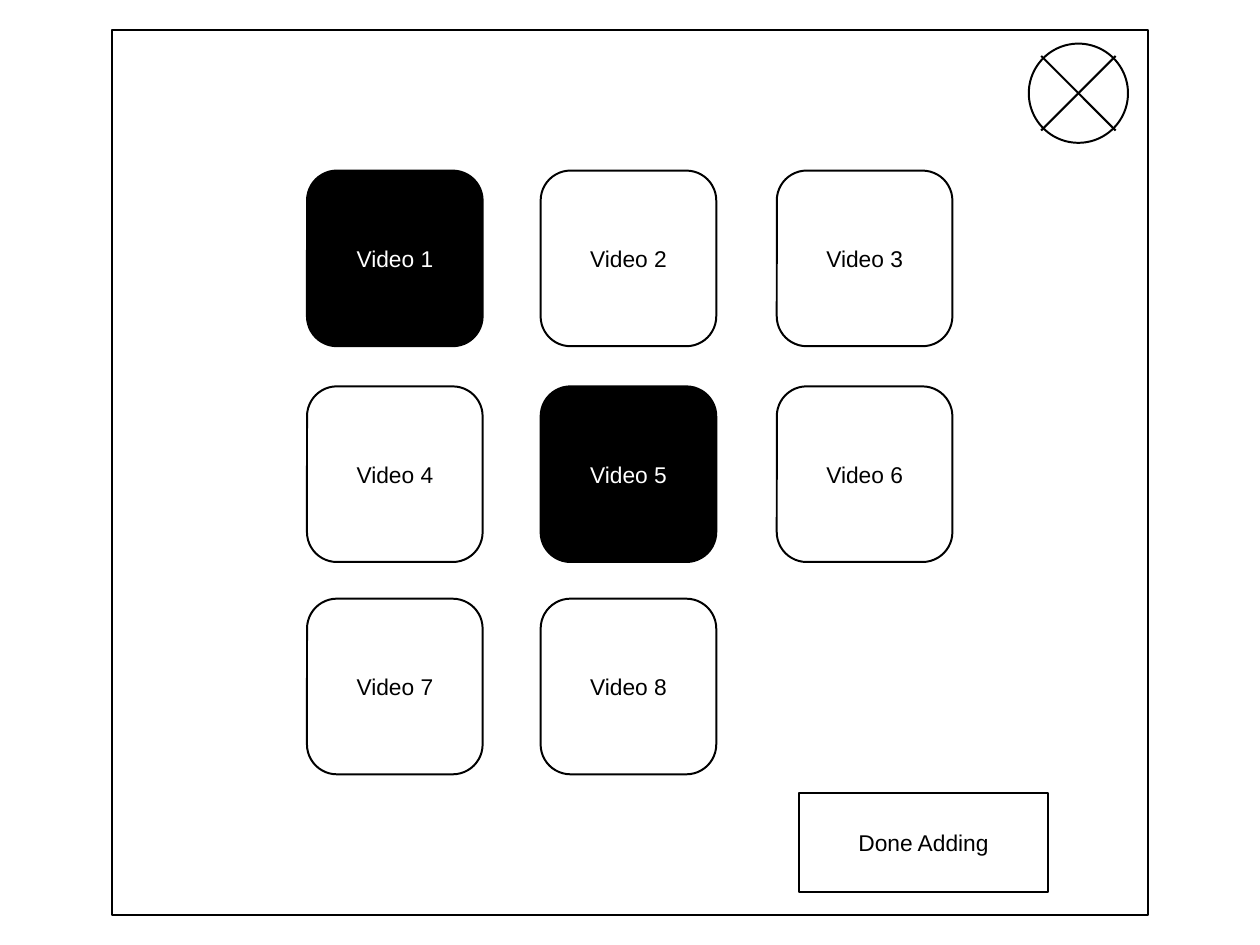
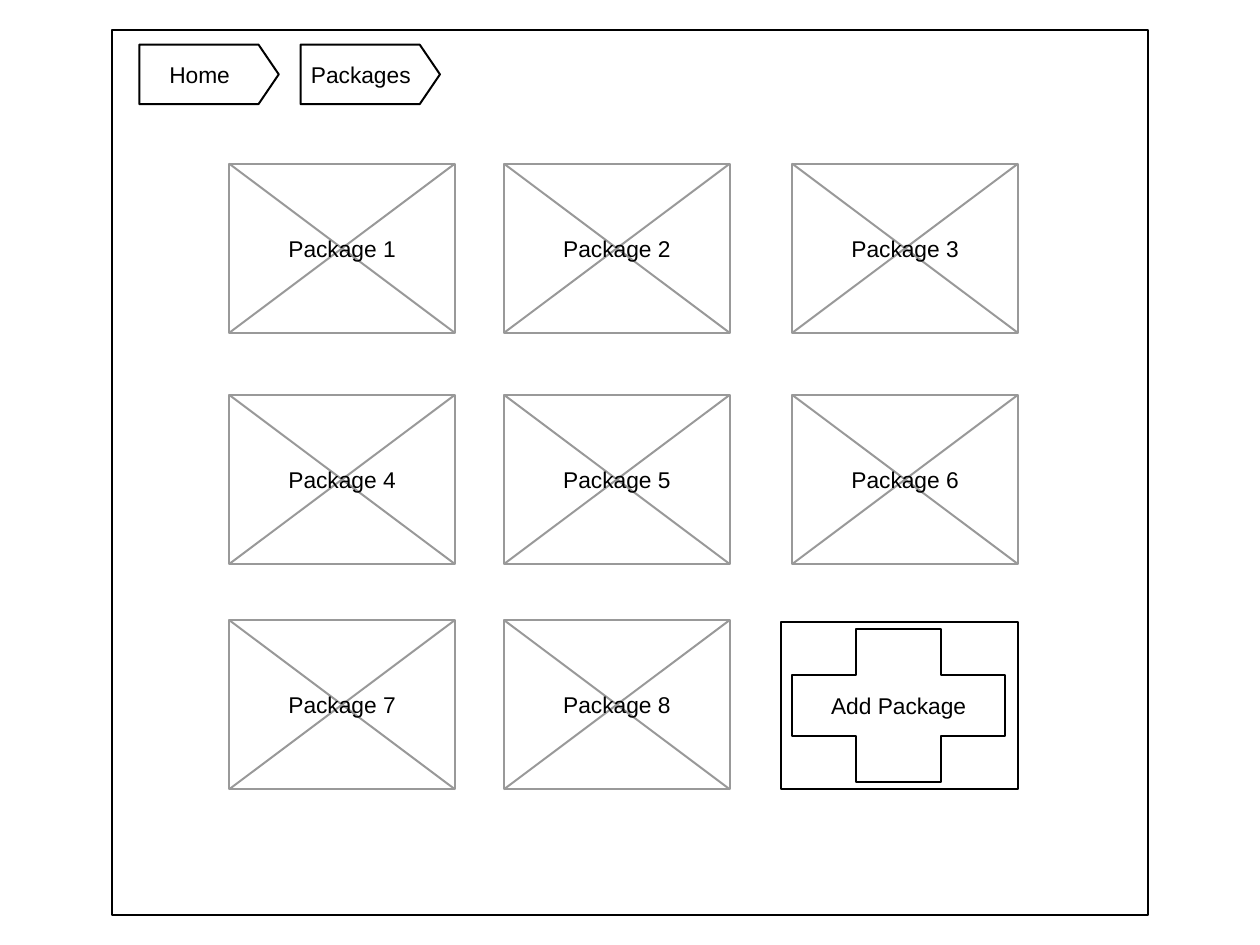
from dataclasses import dataclass
from itertools import product

from lxml.etree import SubElement
from pptx import Presentation
from pptx.dml.color import RGBColor
from pptx.enum.shapes import MSO_CONNECTOR, MSO_SHAPE
from pptx.enum.text import MSO_ANCHOR, PP_ALIGN
from pptx.oxml.ns import qn
from pptx.util import Cm, Pt

VIDEOS = [f"Video {number}" for number in range(1, 9)]
SELECTED_VIDEOS = {"Video 1", "Video 5"}
DONE_LABEL = "Done Adding"
BREADCRUMBS = ["Home", "Packages"]
PACKAGES = [f"Package {number}" for number in range(1, 9)]
ADD_LABEL = "Add Package"


@dataclass(frozen=True)
class Theme:
    ink: RGBColor = RGBColor(0, 0, 0)
    paper: RGBColor = RGBColor(255, 255, 255)
    sketch: RGBColor = RGBColor(0x99, 0x99, 0x99)
    font: str = "Arial"
    label_size: Pt = Pt(13)
    stroke: Pt = Pt(1.13)


THEME = Theme()
FRAME = (2.26, 0.6, 20.89, 17.84)

VIDEO_COLUMNS = (6.19, 10.9, 15.66)
VIDEO_ROWS = (3.44, 7.79, 12.07)
VIDEO_SIDE = 3.54
VIDEO_ROUNDING = 0.17
DONE_BUTTON = (16.11, 15.99, 5.01, 2)
CLOSE_BUTTON = (20.74, 0.88, 2, 2)
CLOSE_INSET = 0.25

CRUMB_LEFT, CRUMB_TOP, CRUMB_STEP = 2.81, 0.9, 3.25
CRUMB_WIDTH, CRUMB_HEIGHT, CRUMB_POINT = 2.81, 1.2, 0.34
CRUMB_TEXT_INSET = 0.18
PACKAGE_COLUMNS = (4.62, 10.16, 15.97)
PACKAGE_ROWS = (3.3, 7.96, 12.5)
PACKAGE_SIZE = (4.55, 3.41)
ADD_TILE = (15.74, 12.54, 4.78, 3.37)
PLUS = (15.97, 12.68, 4.29, 3.09)
PLUS_NOTCH = (1.29, 0.93)


def write_label(shape, label, color=THEME.ink, right_inset=0):
    frame = shape.text_frame
    frame.word_wrap = True
    frame.vertical_anchor = MSO_ANCHOR.MIDDLE
    frame.margin_left = frame.margin_top = frame.margin_bottom = 0
    frame.margin_right = Cm(right_inset)
    frame.text = label
    paragraph = frame.paragraphs[0]
    paragraph.alignment = PP_ALIGN.CENTER
    paragraph.font.name = THEME.font
    paragraph.font.size = THEME.label_size
    paragraph.font.color.rgb = color


def paint(shape, fill=THEME.paper, line=THEME.ink):
    shape.shadow.inherit = False
    shape.fill.solid()
    shape.fill.fore_color.rgb = fill
    shape.line.color.rgb = line
    shape.line.width = THEME.stroke
    return shape


def add_box(slide, kind, area, adjustment=None, **colors):
    box = slide.shapes.add_shape(kind, *map(Cm, area))
    if adjustment is not None:
        box.adjustments[0] = adjustment
    return paint(box, **colors)


def add_diagonals(slide, area, color):
    left, top, width, height = area
    right, bottom = left + width, top + height
    for ends in ((left, top, right, bottom), (right, top, left, bottom)):
        diagonal = slide.shapes.add_connector(MSO_CONNECTOR.STRAIGHT, *map(Cm, ends))
        diagonal.line.color.rgb = color
        diagonal.line.width = THEME.stroke
        SubElement(diagonal._element.spPr, qn("a:effectLst"))


def add_plus(slide, area, notch):
    left, top, width, height = area
    x = [Cm(left + dx) for dx in (0, notch[0], width - notch[0], width)]
    y = [Cm(top + dy) for dy in (0, notch[1], height - notch[1], height)]
    corners = [(1, 0), (2, 0), (2, 1), (3, 1), (3, 2), (2, 2),
               (2, 3), (1, 3), (1, 2), (0, 2), (0, 1), (1, 1)]
    outline = [(x[column], y[row]) for column, row in corners]
    builder = slide.shapes.build_freeform(*outline[0])
    builder.add_line_segments(outline[1:], close=True)
    return paint(builder.convert_to_shape())


def add_screen(deck):
    slide = deck.slides.add_slide(deck.slide_layouts[6])
    add_box(slide, MSO_SHAPE.RECTANGLE, FRAME)
    return slide


def build_video_picker(deck):
    slide = add_screen(deck)
    for video, (top, left) in zip(VIDEOS, product(VIDEO_ROWS, VIDEO_COLUMNS)):
        fill, text = THEME.paper, THEME.ink
        if video in SELECTED_VIDEOS:
            fill, text = text, fill
        tile = add_box(slide, MSO_SHAPE.ROUNDED_RECTANGLE,
                       (left, top, VIDEO_SIDE, VIDEO_SIDE), VIDEO_ROUNDING, fill=fill)
        write_label(tile, video, text)

    write_label(add_box(slide, MSO_SHAPE.RECTANGLE, DONE_BUTTON), DONE_LABEL)

    add_box(slide, MSO_SHAPE.OVAL, CLOSE_BUTTON)
    left, top, width, height = CLOSE_BUTTON
    add_diagonals(slide, (left + CLOSE_INSET, top + CLOSE_INSET,
                          width - 2 * CLOSE_INSET, height - 2 * CLOSE_INSET), THEME.ink)


def build_package_list(deck):
    slide = add_screen(deck)
    for position, name in enumerate(BREADCRUMBS):
        left = CRUMB_LEFT + position * CRUMB_STEP
        crumb = add_box(slide, MSO_SHAPE.PENTAGON,
                        (left, CRUMB_TOP, CRUMB_WIDTH, CRUMB_HEIGHT), CRUMB_POINT)
        write_label(crumb, name, right_inset=CRUMB_TEXT_INSET)

    for package_name, (top, left) in zip(PACKAGES, product(PACKAGE_ROWS, PACKAGE_COLUMNS)):
        area = (left, top, *PACKAGE_SIZE)
        add_box(slide, MSO_SHAPE.RECTANGLE, area, line=THEME.sketch)
        add_diagonals(slide, area, THEME.sketch)
        write_label(slide.shapes.add_textbox(*map(Cm, area)), package_name)

    add_box(slide, MSO_SHAPE.RECTANGLE, ADD_TILE)
    write_label(add_plus(slide, PLUS, PLUS_NOTCH), ADD_LABEL)


def main():
    deck = Presentation()
    deck.slide_width, deck.slide_height = Cm(25.4), Cm(19.05)
    build_video_picker(deck)
    build_package_list(deck)
    deck.save("out.pptx")


if __name__ == "__main__":
    main()
